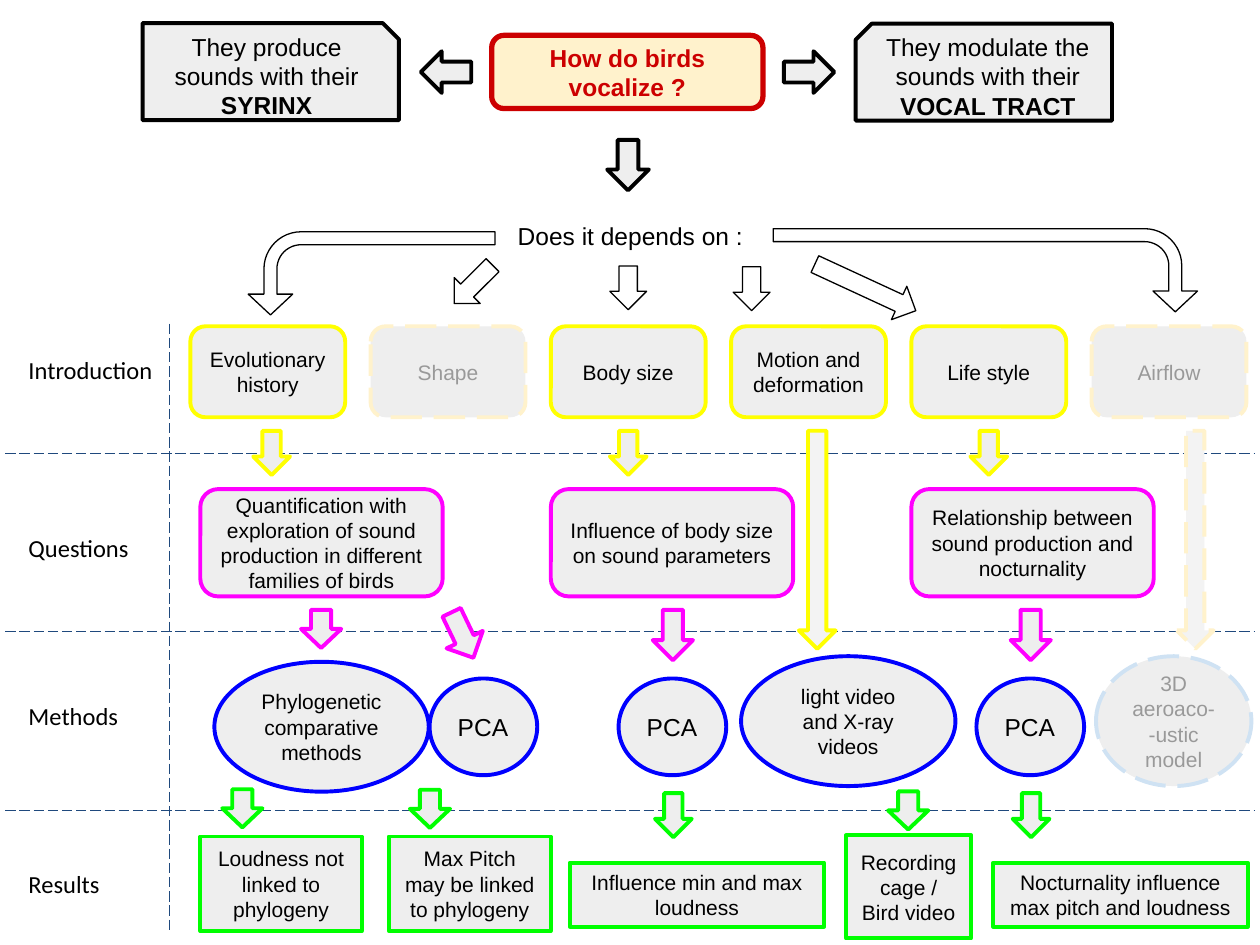
from lxml import etree
from pptx import Presentation
from pptx import util as u
from pptx.dml import color
from pptx.enum import dml, shapes, text
from pptx.oxml import ns

COLORS = {
    "black": "000000", "gray": "EEEEEE", "pale": "F3F3F3", "faded": "999999",
    "red": "CC0000", "cream": "FFF2CC", "yellow": "FFFF00", "magenta": "FF00FF",
    "blue": "0000FF", "light blue": "CFE2F3", "green": "00FF00", "navy": "1F497D",
}
SHAPE = shapes.MSO_SHAPE
CENTER = text.PP_ALIGN.CENTER
LEFT = text.PP_ALIGN.LEFT
MIDDLE = text.MSO_ANCHOR.MIDDLE


def rgb(name):
    return color.RGBColor.from_string(COLORS[name])


class Diagram:
    def __init__(self, slide, font="Arial", line_width=2.25, inset=7.2):
        self.slide = slide
        self.font = font
        self.line_width = line_width
        self.inset = inset

    def set_text(self, shape, content, size=12, ink="black", align=CENTER,
                 font=None, bold=False, bold_end="", anchor=MIDDLE):
        frame = shape.text_frame
        frame.word_wrap = True
        frame.auto_size = text.MSO_AUTO_SIZE.NONE
        frame.vertical_anchor = anchor
        frame.margin_left = frame.margin_right = u.Pt(self.inset)
        frame.margin_top = frame.margin_bottom = u.Pt(self.inset)
        frame.text = content
        paragraph = frame.paragraphs[0]
        paragraph.alignment = align
        if bold_end:
            paragraph.add_run().text = bold_end
        for run in paragraph.runs:
            run.font.name = font or self.font
            run.font.size = u.Pt(size)
            run.font.color.rgb = rgb(ink)
            run.font.bold = bold or run.text == bold_end

    def shape(self, kind, bounds, line, fill="gray", width=None, dashed=False,
              rotation=0, flip=False, adjustments=()):
        shape = self.slide.shapes.add_shape(kind, *map(u.Pt, bounds))
        shape.shadow.inherit = False
        if fill:
            shape.fill.solid()
            shape.fill.fore_color.rgb = rgb(fill)
        else:
            shape.fill.background()
        shape.line.color.rgb = rgb(line)
        shape.line.width = u.Pt(width or self.line_width)
        if dashed:
            shape.line.dash_style = dml.MSO_LINE.LONG_DASH
        shape.rotation = rotation
        if flip:
            shape._element.spPr.xfrm.set("flipH", "1")
        for index, value in enumerate(adjustments):
            shape.adjustments[index] = value
        return shape

    def box(self, kind, bounds, content, line, fill="gray", dashed=False,
            flip=False, **style):
        shape = self.shape(kind, bounds, line, fill, dashed=dashed, flip=flip)
        self.set_text(shape, content, **style)

    def arrow(self, bounds, line, **style):
        self.shape(SHAPE.DOWN_ARROW, bounds, line, **style)

    def outline_arrow(self, bounds, rotation=0):
        self.arrow(bounds, "black", fill=None, width=0.75, rotation=rotation)

    def bent_arrow(self, bounds, rotation, flip=False):
        self.shape(SHAPE.BENT_ARROW, bounds, "black", None, 0.75, rotation=rotation,
                   flip=flip, adjustments=(0.156, 0.268, 0.25, 0.447))

    def label(self, bounds, content, **style):
        self.set_text(self.slide.shapes.add_textbox(*map(u.Pt, bounds)), content, **style)

    def divider(self, *ends):
        line = self.slide.shapes.add_connector(
            shapes.MSO_CONNECTOR.STRAIGHT, *map(u.Pt, ends))
        line.line.color.rgb = rgb("navy")
        line.line.width = u.Pt(0.75)
        line.line.dash_style = dml.MSO_LINE.LONG_DASH
        etree.SubElement(line._element.spPr, ns.qn("a:effectLst"))

    def title(self, bounds, content, line, fill):
        self.shape(SHAPE.ROUNDED_RECTANGLE, bounds, line, fill, width=3)
        title = self.slide.shapes.title
        title.left, title.top, title.width, title.height = map(u.Pt, bounds)
        self.set_text(title, content, size=14, ink=line, bold=True)
        self.slide.shapes._spTree.append(title._element)


def build_question(diagram):
    diagram.title((281, 20.2, 155, 41.8), "How do birds vocalize ?", "red", "cream")
    diagram.box(SHAPE.SNIP_1_RECTANGLE, (81.5, 13.2, 146.5, 55.5),
                "They produce sounds with their ", "black",
                size=14, bold_end="SYRINX")
    diagram.box(SHAPE.SNIP_1_RECTANGLE, (489, 13.5, 146.5, 55.5),
                "They modulate the sounds with their ", "black", flip=True,
                size=14, bold_end="VOCAL TRACT")
    for left, top, rotation in ((243, 26.8, 90), (450.5, 26.8, 270), (347, 80, 0)):
        diagram.arrow((left, top, 23.8, 28.8), "black", rotation=rotation)

    diagram.label((273.5, 119, 173.5, 24), "Does it depends on :",
                  size=14, anchor=text.MSO_ANCHOR.TOP)
    diagram.bent_arrow((539.3, 33.2, 47.5, 242.5), 90)
    diagram.bent_arrow((188.6, 85.7, 47.5, 141), 270, flip=True)
    for bounds, rotation in (((348.5, 152, 21, 25), 0), ((419, 152.5, 21, 25), 0),
                             ((260, 147, 21, 31), 45), ((484, 132.5, 21, 63.5), 294.8)):
        diagram.outline_arrow(bounds, rotation)


def build_introduction(diagram, columns):
    factors = ("Evolutionary history", "Shape", "Body size",
               "Motion and deformation", "Life style", "Airflow")
    for left, factor in zip(columns, factors):
        faded = factor in ("Shape", "Airflow")
        diagram.box(SHAPE.ROUNDED_RECTANGLE, (left, 186.5, 88.5, 52), factor,
                    "cream" if faded else "yellow", dashed=faded,
                    ink="faded" if faded else "black")
    for left in (144.7, 348.5, 554.5):
        diagram.arrow((left, 246.2, 21, 25.2), "yellow")
    diagram.arrow((456.5, 246.2, 21, 124.6), "yellow", fill="pale")
    diagram.arrow((672.5, 246.2, 21, 124.6), "cream", fill="pale", dashed=True)


def build_questions(diagram, columns):
    questions = (
        (114.5, "Quantification with exploration of sound production "
                "in different families of birds"),
        (columns[2], "Influence of body size on sound parameters"),
        (columns[4], "Relationship between sound production and nocturnality"),
    )
    for left, question in questions:
        diagram.box(SHAPE.ROUNDED_RECTANGLE, (left, 279.5, 138.5, 61.3),
                    question, "magenta")
    for left, height, rotation in ((172, 21.8, 0), (252.8, 28.8, 334.3),
                                   (373, 28.8, 0), (577.5, 28.8, 0)):
        diagram.arrow((left, 348.5, 23, height), "magenta", rotation=rotation)


def build_methods(diagram):
    circle = SHAPE.FLOWCHART_CONNECTOR
    diagram.box(circle, (122.5, 378.2, 122.5, 74.2),
                "Phylogenetic comparative methods", "blue")
    for left in (245.5, 353.5, 558):
        diagram.box(circle, (left, 387.7, 61.5, 55.3), "PCA", "blue",
                    size=14, align=LEFT)
    diagram.box(circle, (423.5, 375, 122.5, 74.2),
                "light video and X-ray videos", "blue")
    diagram.box(circle, (626.3, 375, 88.8, 74.2), "3D aeroaco--ustic model",
                "light blue", dashed=True, ink="faded")


def build_results(diagram):
    results = (
        ((114.5, 478, 92.3, 54), "Loudness not linked to phylogeny"),
        ((222.2, 478, 92.5, 54), "Max Pitch may be linked to phylogeny"),
        ((325.5, 493, 145.5, 36.5), "Influence min and max loudness"),
        ((483.5, 477.3, 71.5, 59), "Recording cage / Bird video"),
        ((567.5, 493, 145.5, 36.5), "Nocturnality influence max pitch and loudness"),
    )
    for bounds, result in results:
        diagram.box(SHAPE.RECTANGLE, bounds, result, "green")
    for bounds in ((127, 451, 23, 21.8), (234.2, 451.3, 23, 21.8), (507.5, 452.2, 23, 21.8),
                   (374.3, 453.2, 21, 25.2), (578.7, 453.2, 21, 25.2)):
        diagram.arrow(bounds, "green")


def main():
    presentation = Presentation()
    presentation.slide_width, presentation.slide_height = u.Pt(720), u.Pt(540)
    slide = presentation.slides.add_slide(presentation.slide_layouts[5])
    diagram = Diagram(slide)
    columns = [108.8 + 103 * index for index in range(6)]

    for height in (259.3, 361, 463):
        diagram.divider(3, height, 717, height)
    diagram.divider(97, 185, 97, 532)
    for top, stage in ((187.5, "Introduction"), (289.5, "Questions"),
                       (385.5, "Methods"), (481.3, "Results")):
        diagram.label((9.2, top, 86.5, 47.5), stage, size=14, align=LEFT, font="Calibri")

    build_question(diagram)
    build_introduction(diagram, columns)
    build_questions(diagram, columns)
    build_methods(diagram)
    build_results(diagram)
    presentation.save("out.pptx")


if __name__ == "__main__":
    main()
